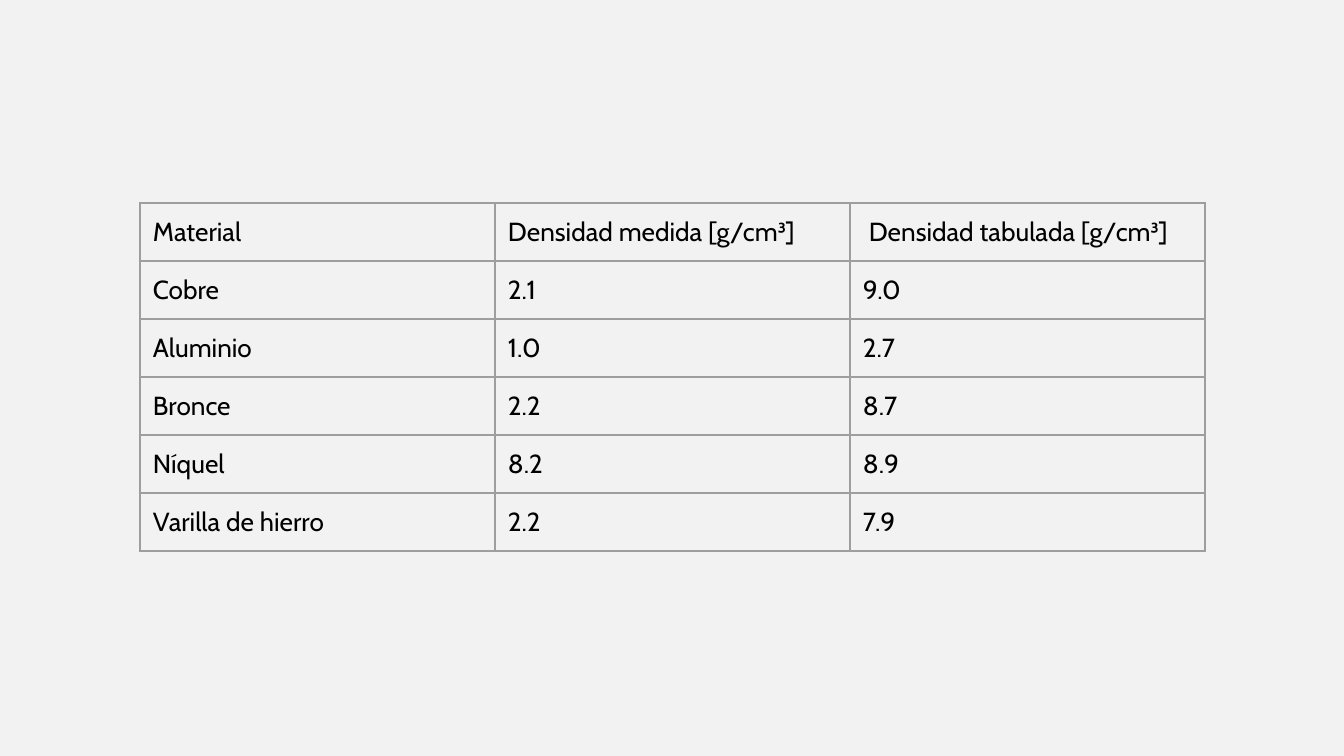
from pptx import Presentation
from pptx.dml.color import RGBColor
from pptx.enum.text import MSO_ANCHOR
from pptx.oxml import parse_xml
from pptx.oxml.ns import nsdecls
from pptx.util import Emu, Pt

# Scale: 1344 px across 10 inches
EMU_PER_PX = 9144000 / 1344
SLIDE_W, SLIDE_H = 1344, 756
BLANK_LAYOUT = 6
TOP = MSO_ANCHOR.TOP

BACKGROUND = RGBColor(0xF2, 0xF2, 0xF2)
BORDER = RGBColor(0x9E, 0x9E, 0x9E)
BLACK = RGBColor(0x00, 0x00, 0x00)

DENSITIES = [
    ("Material", "Densidad medida [g/cm³]", " Densidad tabulada [g/cm³]"),
    ("Cobre", "2.1", "9.0"),
    ("Aluminio", "1.0", "2.7"),
    ("Bronce", "2.2", "8.7"),
    ("Níquel", "8.2", "8.9"),
    ("Varilla de hierro", "2.2", "7.9"),
]


def px(n):
    return Emu(round(n * EMU_PER_PX))


class SlideBuilder:
    """Holds the style and the current slide."""

    font = {"name": "Cabin", "size": Pt(14), "bold": False}
    cell_format = {
        "margin_left": px(13), "margin_right": px(13),
        "margin_top": px(13), "margin_bottom": px(13),
        "vertical_anchor": TOP,
    }
    border_width = Pt(0.75)

    def __init__(self, prs):
        self.s = prs.slides.add_slide(prs.slide_layouts[BLANK_LAYOUT])

    def background(self, color):
        fill = self.s.background.fill
        fill.solid()
        fill.fore_color.rgb = color

    def borders(self, cell):
        # Border lines must come before the fill in the cell properties
        tc_pr = cell._tc.get_or_add_tcPr()
        for i, side in enumerate(("lnL", "lnR", "lnT", "lnB")):
            tc_pr.insert(i, parse_xml(
                f'<a:{side} {nsdecls("a")} w="{self.border_width}">'
                f'<a:solidFill><a:srgbClr val="{BORDER}"/></a:solidFill>'
                f'</a:{side}>'))

    def cell(self, cell, text):
        for name, value in self.cell_format.items():
            setattr(cell, name, value)
        cell.fill.background()
        self.borders(cell)
        r = cell.text_frame.paragraphs[0].add_run()
        r.text = text
        for name, value in self.font.items():
            setattr(r.font, name, value)
        r.font.color.rgb = BLACK

    def table(self, rows, left, top, col_width, row_height):
        n_rows, n_cols = len(rows), len(rows[0])
        table = self.s.shapes.add_table(
            n_rows, n_cols, px(left), px(top),
            px(col_width * n_cols), px(row_height * n_rows)).table
        table.first_row = table.horz_banding = False
        for i, row in enumerate(rows):
            for j, text in enumerate(row):
                self.cell(table.cell(i, j), text)


def main():
    prs = Presentation()
    prs.slide_width, prs.slide_height = px(SLIDE_W), px(SLIDE_H)
    slide = SlideBuilder(prs)

    slide.background(BACKGROUND)

    # Measured and tabulated densities
    slide.table(DENSITIES, left=140, top=203, col_width=355, row_height=58)

    prs.save("out.pptx")


if __name__ == "__main__":
    main()
